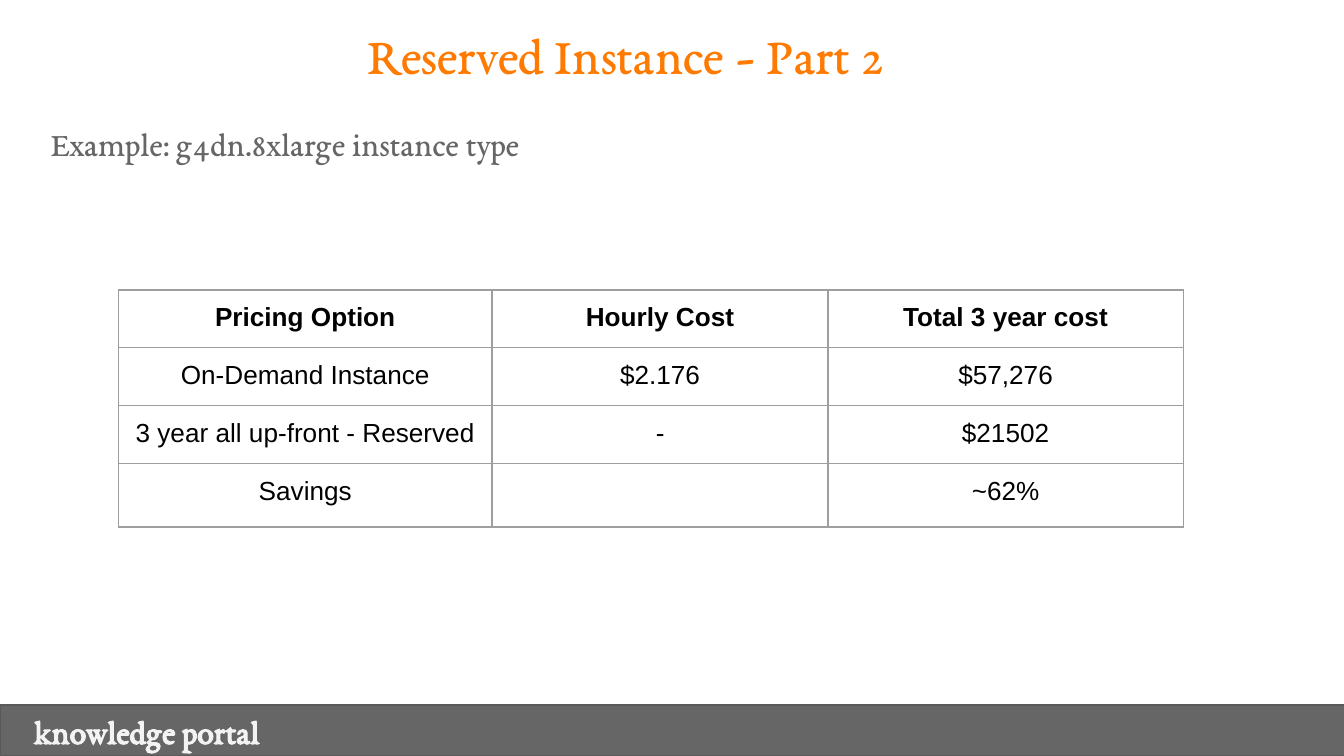
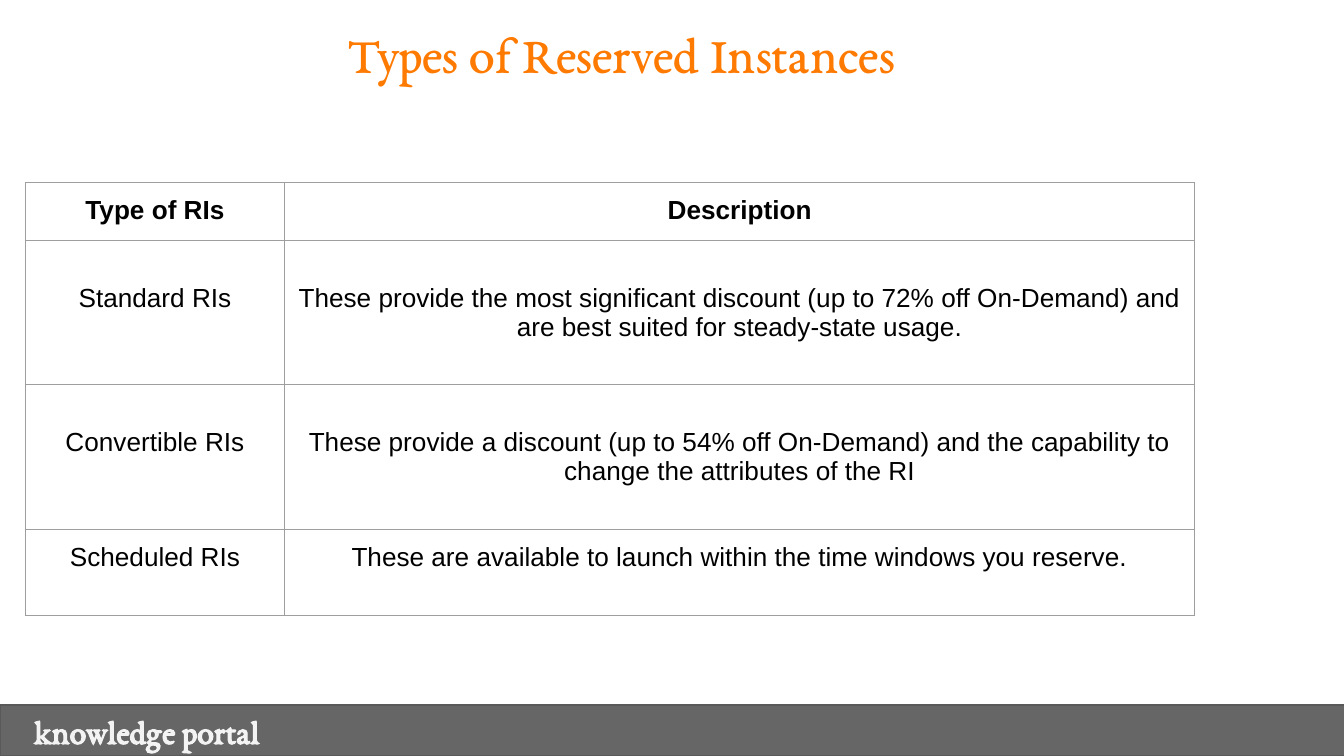
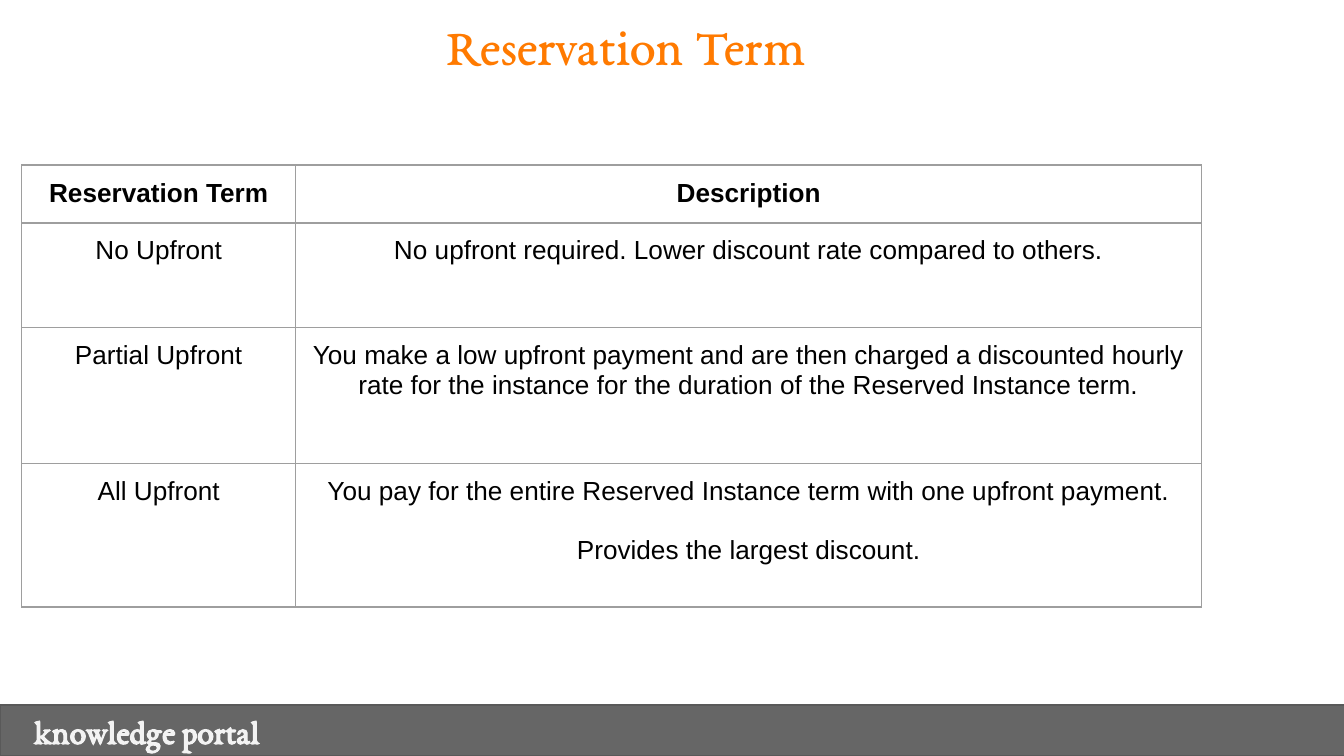
"""Build three slides on reserved instance pricing, types and terms."""
from dataclasses import dataclass
from typing import Any

import lxml.etree
import pptx
import pptx.dml.color
import pptx.enum.shapes
import pptx.enum.text
import pptx.oxml.ns
import pptx.presentation
import pptx.slide
import pptx.table
import pptx.text.text
import pptx.util

Cm = pptx.util.Cm
Pt = pptx.util.Pt
Align = pptx.enum.text.PP_ALIGN
Anchor = pptx.enum.text.MSO_ANCHOR


@dataclass(frozen=True)
class TextStyle:
    font: str
    size: float
    color: str
    bold: bool = False


@dataclass(frozen=True)
class Theme:
    title: TextStyle = TextStyle("EB Garamond", 28, "FF7A00")
    body: TextStyle = TextStyle("EB Garamond", 18, "666666")
    footer: TextStyle = TextStyle("EB Garamond", 18, "F3F3F3", True)
    header: TextStyle = TextStyle("Arial", 14, "000000", True)
    cell: TextStyle = TextStyle("Arial", 14, "000000")
    band_fill: str = "666666"
    band_line: str = "595959"
    grid: str = "9E9E9E"
    line_width: float = 0.75
    inset: float = 0.25
    paragraph_gap: float = 16


@dataclass(frozen=True)
class Row:
    height: float
    texts: tuple[str, ...]
    top_inset: float = 0.25


@dataclass(frozen=True)
class Grid:
    left: float
    top: float
    columns: tuple[float, ...]
    rows: tuple[Row, ...]


@dataclass(frozen=True)
class Topic:
    title: str
    title_left: float
    title_top: float
    grid: Grid
    example: str = ""


THEME = Theme()
LOWERED = 0.81

TOPICS = (
    Topic(
        "Reserved Instance - Part 2", -0.15, 0.18,
        Grid(2.24, 5.48, (7.06, 6.35, 6.71), (
            Row(1.07, ("Pricing Option", "Hourly Cost", "Total 3 year cost")),
            Row(1.07, ("On-Demand Instance", "$2.176", "$57,276")),
            Row(1.07, ("3 year all up-front - Reserved", "-", "$21502")),
            Row(1.2, ("Savings", "", "~62%")),
        )),
        "Example: g4dn.8xlarge instance type",
    ),
    Topic(
        "Types of Reserved Instances", -0.23, 0.15,
        Grid(0.48, 3.45, (4.9, 17.2), (
            Row(1.09, ("Type of RIs", "Description")),
            Row(2.73, (
                "Standard RIs",
                "These provide the most significant discount (up to 72% off On-Demand) "
                "and are best suited for steady-state usage.",
            ), LOWERED),
            Row(2.73, (
                "Convertible RIs",
                "These provide a discount (up to 54% off On-Demand) and the capability "
                "to change the attributes of the RI",
            ), LOWERED),
            Row(1.63, (
                "Scheduled RIs",
                "These are available to launch within the time windows you reserve.",
            )),
        )),
    ),
    Topic(
        "Reservation Term", -0.13, 0,
        Grid(0.41, 3.12, (5.18, 17.12), (
            Row(1.09, ("Reservation Term", "Description")),
            Row(1.98, (
                "No Upfront",
                "No upfront required. Lower discount rate compared to others.",
            )),
            Row(2.56, (
                "Partial Upfront",
                "You make a low upfront payment and are then charged a discounted hourly "
                "rate for the instance for the duration of the Reserved Instance term.",
            )),
            Row(2.72, (
                "All Upfront",
                "You pay for the entire Reserved Instance term with one upfront payment.\n"
                "Provides the largest discount.",
            )),
        )),
    ),
)


def rgb(value: str) -> pptx.dml.color.RGBColor:
    """Turn a hex string into a colour."""
    return pptx.dml.color.RGBColor.from_string(value)


def apply_format(target: Any, values: dict[str, Any]) -> None:
    """Set every named attribute on the target."""
    for name, value in values.items():
        setattr(target, name, value)


def margins(left: float = THEME.inset, top: float = THEME.inset) -> dict[str, Any]:
    """Give the four margins of a text frame or cell."""
    return {
        "margin_left": Cm(left),
        "margin_top": Cm(top),
        "margin_right": Cm(THEME.inset),
        "margin_bottom": Cm(THEME.inset),
    }


def write(frame: pptx.text.text.TextFrame, text: str, style: TextStyle, align: Align) -> None:
    """Fill a text frame with one styled paragraph per line of text."""
    frame.text = text
    for index, para in enumerate(frame.paragraphs):
        para.alignment = align
        if index:
            para.space_before = Pt(THEME.paragraph_gap)
        for font in (para.font, *(span.font for span in para.runs)):
            apply_format(font, {"name": style.font, "size": Pt(style.size), "bold": style.bold})
            font.color.rgb = rgb(style.color)


def add_text(page: pptx.slide.Slide, text: str, left: float, top: float, width: float,
             style: TextStyle, align: Align) -> pptx.text.text.TextFrame:
    """Add a wrapped text box of the common height."""
    frame = page.shapes.add_textbox(Cm(left), Cm(top), Cm(width), Cm(2.21)).text_frame
    apply_format(frame, {"word_wrap": True, "vertical_anchor": Anchor.TOP, **margins()})
    write(frame, text, style, align)
    return frame


def add_footer(page: pptx.slide.Slide) -> None:
    """Draw the band along the bottom of the page."""
    band = page.shapes.add_shape(
        pptx.enum.shapes.MSO_SHAPE.RECTANGLE, Cm(0), Cm(13.33), Cm(25.45), Cm(0.96))
    band.shadow.inherit = False
    band.fill.solid()
    band.fill.fore_color.rgb = rgb(THEME.band_fill)
    band.line.color.rgb = rgb(THEME.band_line)
    band.line.width = Pt(THEME.line_width)
    apply_format(band.text_frame, {
        "word_wrap": True, "vertical_anchor": Anchor.MIDDLE, **margins(left=0.64)})
    write(band.text_frame, "knowledge portal", THEME.footer, Align.LEFT)


def add_borders(cell: pptx.table._Cell) -> None:
    """Rule all four sides of a table cell."""
    qn = pptx.oxml.ns.qn
    properties = cell._tc.get_or_add_tcPr()
    for index, side in enumerate(("a:lnL", "a:lnR", "a:lnT", "a:lnB")):
        line = lxml.etree.Element(qn(side), w=str(Pt(THEME.line_width)))
        fill = lxml.etree.SubElement(line, qn("a:solidFill"))
        lxml.etree.SubElement(fill, qn("a:srgbClr"), val=THEME.grid)
        properties.insert(index, line)


def add_grid(page: pptx.slide.Slide, grid: Grid) -> None:
    """Add a ruled table with a bold first row."""
    width = sum(grid.columns)
    height = sum(row.height for row in grid.rows)
    table = page.shapes.add_table(
        len(grid.rows), len(grid.columns),
        Cm(grid.left), Cm(grid.top), Cm(width), Cm(height)).table
    apply_format(table, {"first_row": False, "horz_banding": False})
    for column, column_width in zip(table.columns, grid.columns):
        column.width = Cm(column_width)
    for index, row in enumerate(grid.rows):
        table.rows[index].height = Cm(row.height)
        style = THEME.cell if index else THEME.header
        for cell, text in zip(table.rows[index].cells, row.texts):
            cell.fill.background()
            apply_format(cell, {"vertical_anchor": Anchor.TOP, **margins(top=row.top_inset)})
            write(cell.text_frame, text, style, Align.CENTER)
            add_borders(cell)


def add_page(deck: pptx.presentation.Presentation, topic: Topic) -> None:
    """Add one titled page with its table and footer."""
    page = deck.slides.add_slide(deck.slide_layouts[6])
    add_text(page, topic.title, topic.title_left, topic.title_top, 23.93,
             THEME.title, Align.CENTER)
    add_footer(page)
    add_grid(page, topic.grid)
    if topic.example:
        frame = add_text(page, topic.example, 0.71, 2.08, 22.17, THEME.body, Align.LEFT)
        frame.paragraphs[0].space_before = Pt(4.8)


def main() -> None:
    """Build and save the deck."""
    deck = pptx.Presentation()
    apply_format(deck, {"slide_width": Cm(25.4), "slide_height": Cm(14.29)})
    for topic in TOPICS:
        add_page(deck, topic)
    deck.save("out.pptx")


if __name__ == "__main__":
    main()
